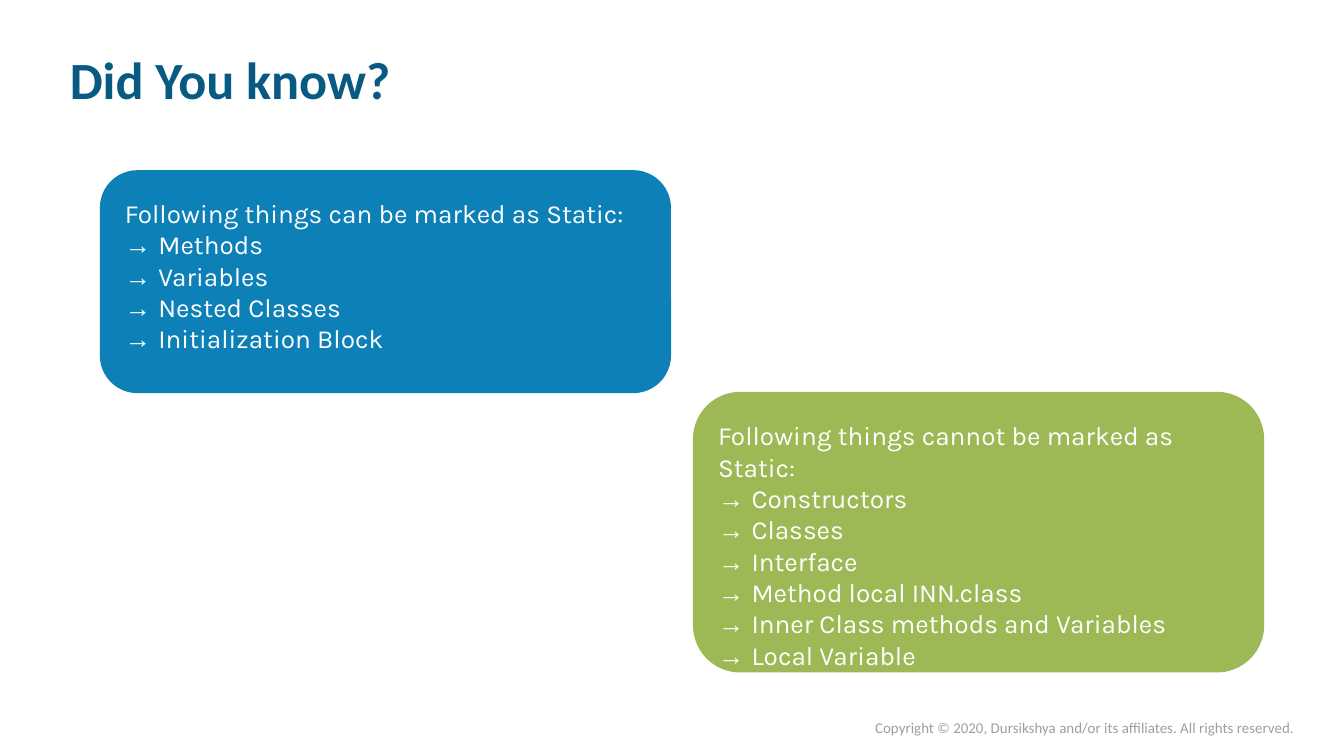
from pptx import Presentation
from pptx.dml.color import RGBColor as RGB
from pptx.enum.shapes import MSO_SHAPE as SHAPE
from pptx.enum.text import MSO_ANCHOR as ANCHOR, MSO_AUTO_SIZE as AUTO, PP_ALIGN as ALIGN
from pptx.oxml.ns import qn
from pptx.util import Cm, Pt
from lxml.etree import SubElement

COLORS = {"title": "095A82", "can": "0D80B8", "cannot": "9CB955",
          "text": "FFFFFF", "footer": "9F9F9F"}
CAN = ("Methods", "Variables", "Nested Classes", "Initialization Block")
CANNOT = ("Constructors", "Classes", "Interface", "Method local INN.class",
          "Inner Class methods and Variables", "Local Variable")


def place(sp, left, top, width, height):
    sp.left, sp.top, sp.width, sp.height = map(Cm, (left, top, width, height))


def set_frame(tf):
    tf.word_wrap = True
    tf.auto_size = AUTO.NONE
    tf.vertical_anchor = ANCHOR.TOP
    tf.margin_left = tf.margin_right = tf.margin_bottom = 0
    tf.margin_top = Cm(0.05)


def add_run(p, text, font, size, color, bold=False):
    r = p.add_run()
    r.text = text
    r.font.name = font
    r.font.size = Pt(size)
    r.font.bold = bold
    r.font.color.rgb = RGB.from_string(COLORS[color])


def add_card(s, left, top, height, color):
    sp = s.shapes.add_shape(SHAPE.ROUNDED_RECTANGLE, Cm(left), Cm(top), Cm(10.77), Cm(height))
    sp.shadow.inherit = False
    sp.fill.solid()
    sp.fill.fore_color.rgb = RGB.from_string(COLORS[color])
    sp.line.color.rgb = RGB.from_string(COLORS[color])
    sp.line.width = Pt(0.72)


def add_line(p, indent, before=0):
    pPr = p._p.get_or_add_pPr()
    pPr.set("marL", str(Cm(indent)))
    pPr.set("indent", "0")
    SubElement(pPr, qn("a:buNone"))
    p.alignment = ALIGN.LEFT
    p.line_spacing = Pt(16.8)
    p.space_before = Pt(before)


def add_list(tf, p, heading, items, indent, before=0):
    add_line(p, indent, before)
    add_run(p, heading, "Karla", 14, "text")
    for item in items:
        p = tf.add_paragraph()
        add_line(p, indent)
        add_run(p, "→ ", "Arial", 14, "text")
        add_run(p, item, "Karla", 14, "text")


def add_title(s):
    sp = s.shapes.title
    place(sp, 1.32, 0.84, 7, 1.24)
    set_frame(sp.text_frame)
    p = sp.text_frame.paragraphs[0]
    p.alignment = ALIGN.LEFT
    add_run(p, "Did You know?", "Calibri", 28, "title", True)


def add_body(s):
    sp = s.placeholders[1]
    place(sp, 2.11, 3.68, 21.18, 8.43)
    tf = sp.text_frame
    set_frame(tf)
    add_list(tf, tf.paragraphs[0], "Following things can be marked as Static:", CAN, 0.25)
    add_list(tf, tf.add_paragraph(), "Following things cannot be marked as Static:",
             CANNOT, 11.46, 35)
    s.shapes.element.append(sp.element)


def add_footer(s):
    sp = s.shapes.add_textbox(Cm(16.54), Cm(13.54), Cm(8.4), Cm(0.41))
    set_frame(sp.text_frame)
    add_run(sp.text_frame.paragraphs[0],
            "Copyright © 2020, Dursikshya and/or its affiliates. All rights reserved.",
            "Calibri", 8, "footer")


def main():
    prs = Presentation()
    prs.slide_width, prs.slide_height = Cm(25.4), Cm(14.29)
    s = prs.slides.add_slide(prs.slide_layouts[1])
    add_title(s)
    add_card(s, 1.9, 3.23, 4.19, "can")
    add_card(s, 13.11, 7.42, 5.28, "cannot")
    add_body(s)
    add_footer(s)
    prs.save("out.pptx")


if __name__ == "__main__":
    main()
